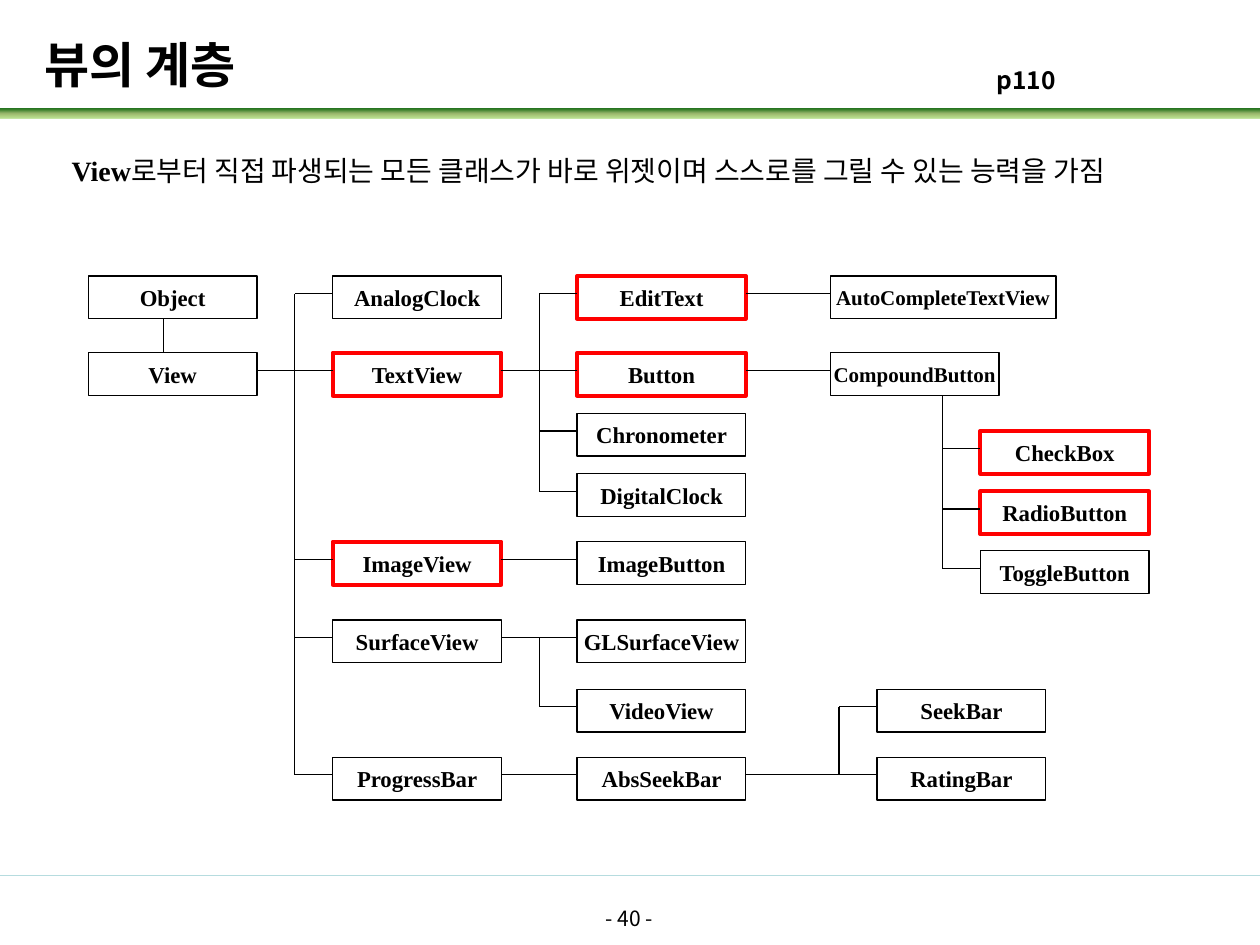
"""Build a slide that shows the class hierarchy below View."""
from lxml.etree import SubElement
from pptx import Presentation
from pptx.dml.color import RGBColor
from pptx.enum.shapes import MSO_CONNECTOR, MSO_SHAPE
from pptx.enum.text import MSO_ANCHOR, PP_ALIGN
from pptx.oxml.ns import qn
from pptx.util import Inches, Pt

BLACK = RGBColor(0x00, 0x00, 0x00)
WHITE = RGBColor(0xFF, 0xFF, 0xFF)
RED = RGBColor(0xFF, 0x00, 0x00)
PALE_TEAL = RGBColor(0xB6, 0xDC, 0xDF)
LIME = RGBColor(0x92, 0xD0, 0x50)
SAGE = RGBColor(0x9C, 0xB8, 0x6E)
DARK_GREEN = RGBColor(0x15, 0x6B, 0x13)
KOREAN = "Noto Sans CJK KR"
LATIN = "Times New Roman"
BOX_WIDTH, BOX_HEIGHT, LINK_DROP = 1.34, 0.34, 0.14

deck = Presentation()
deck.slide_width, deck.slide_height = Inches(10), Inches(7.5)
page = deck.slides.add_slide(deck.slide_layouts[6])


def add_text(para, text, size=13, font=LATIN, bold=True):
    span = para.add_run()
    span.text = text
    span.font.size = Pt(size)
    span.font.name = font
    span.font.bold = bold
    span.font.color.rgb = BLACK
    SubElement(span.font._element, qn("a:ea"), typeface=KOREAN)


def add_line(left, top, right, bottom, color=BLACK):
    line = page.shapes.add_connector(
        MSO_CONNECTOR.STRAIGHT, Inches(left), Inches(top), Inches(right), Inches(bottom))
    line.line.color.rgb = color
    line.line.width = Pt(0.75)
    SubElement(line._element.spPr, qn("a:effectLst"))


band = page.shapes.add_shape(MSO_SHAPE.RECTANGLE, 0, Inches(0.86), Inches(10), Inches(0.08))
band.shadow.inherit = False
band.line.fill.background()
band.fill.gradient()
band.fill.gradient_angle = 90
stops = band._element.spPr.find(qn("a:gradFill")).find(qn("a:gsLst"))
stops.clear()
for position, color, alpha in [(0, LIME, 56), (50, SAGE, 100), (100, DARK_GREEN, 100)]:
    stop = SubElement(stops, qn("a:gs"), pos=str(position * 1000))
    tint = SubElement(stop, qn("a:srgbClr"), val=str(color))
    SubElement(tint, qn("a:alpha"), val=str(alpha * 1000))

add_line(0, 6.95, 10, 6.95, PALE_TEAL)

columns = [
    (0.7, [("Object", 2.19, None), ("View", 2.8, None)]),
    (2.64, [("AnalogClock", 2.19, 2.34), ("TextView", 2.8, 2.04), ("ImageView", 4.3, 2.34),
            ("SurfaceView", 4.92, 2.34), ("ProgressBar", 6.01, 2.34)]),
    (4.58, [("EditText", 2.19, 4.28), ("Button", 2.8, 3.98), ("Chronometer", 3.28, 4.28),
            ("DigitalClock", 3.76, 4.28), ("ImageButton", 4.3, 3.98),
            ("GLSurfaceView", 4.92, 3.98), ("VideoView", 5.47, 4.28),
            ("AbsSeekBar", 6.01, 3.98)]),
    (6.59, [("AutoCompleteTextView", 2.19, 5.92), ("CompoundButton", 2.8, 5.92)]),
    (6.96, [("SeekBar", 5.47, 6.66), ("RatingBar", 6.01, 5.92)]),
    (7.78, [("CheckBox", 3.42, 7.48), ("RadioButton", 3.9, 7.48), ("ToggleButton", 4.37, 7.48)]),
]
highlighted = {"TextView", "ImageView", "EditText", "Button", "CheckBox", "RadioButton"}
small_text = {"AutoCompleteTextView", "CompoundButton"}

for left, classes in columns:
    for name, top, link_start in classes:
        width = 1.79 if name == "AutoCompleteTextView" else BOX_WIDTH
        box = page.shapes.add_shape(
            MSO_SHAPE.RECTANGLE, Inches(left), Inches(top), Inches(width), Inches(BOX_HEIGHT))
        box.shadow.inherit = False
        box.fill.solid()
        box.fill.fore_color.rgb = WHITE
        box.line.color.rgb = RED if name in highlighted else BLACK
        box.line.width = Pt(2.25 if name in highlighted else 0.75)
        box.text_frame.word_wrap = False
        box.text_frame.vertical_anchor = MSO_ANCHOR.MIDDLE
        para = box.text_frame.paragraphs[0]
        para.alignment = PP_ALIGN.CENTER
        add_text(para, name, size=12 if name in small_text else 13)
        if link_start is not None:
            add_line(link_start, top + LINK_DROP, left, top + LINK_DROP)

trunks = [(1.3, 2.53, 2.8), (2.34, 2.33, 6.15), (4.28, 2.33, 3.9),
          (4.28, 5.06, 5.61), (6.66, 5.61, 6.15), (7.48, 3.14, 4.51)]
for across, top, bottom in trunks:
    add_line(across, top, across, bottom)

texts = [
    ((3.83, 7.14, 2.33, 0.52), [("- 40 -", 12, KOREAN, False)]),
    ((0.47, 1.17, 9.06, 0.64), [
        ("View", 16, LATIN, True),
        ("로부터 직접 파생되는 모든 클래스가 바로 위젯이며 스스로를 그릴 수 있는 능력을 가짐",
         16, LATIN, False)]),
    ((0.35, 0.28, 6.12, 0.45), [("뷰의 계층", 28, KOREAN, True)]),
    ((7.81, 0.47, 2.49, 0.34), [("p110", 14, KOREAN, True)]),
]
frames = []
for place, spans in texts:
    frame = page.shapes.add_textbox(*[Inches(length) for length in place]).text_frame
    frame.word_wrap = True
    for text, size, font, bold in spans:
        add_text(frame.paragraphs[0], text, size=size, font=font, bold=bold)
    frames.append(frame)

number, summary, title, reference = frames
number.paragraphs[0].alignment = PP_ALIGN.CENTER
title.vertical_anchor = MSO_ANCHOR.MIDDLE
title.margin_left = title.margin_right = 0

deck.save("out.pptx")
